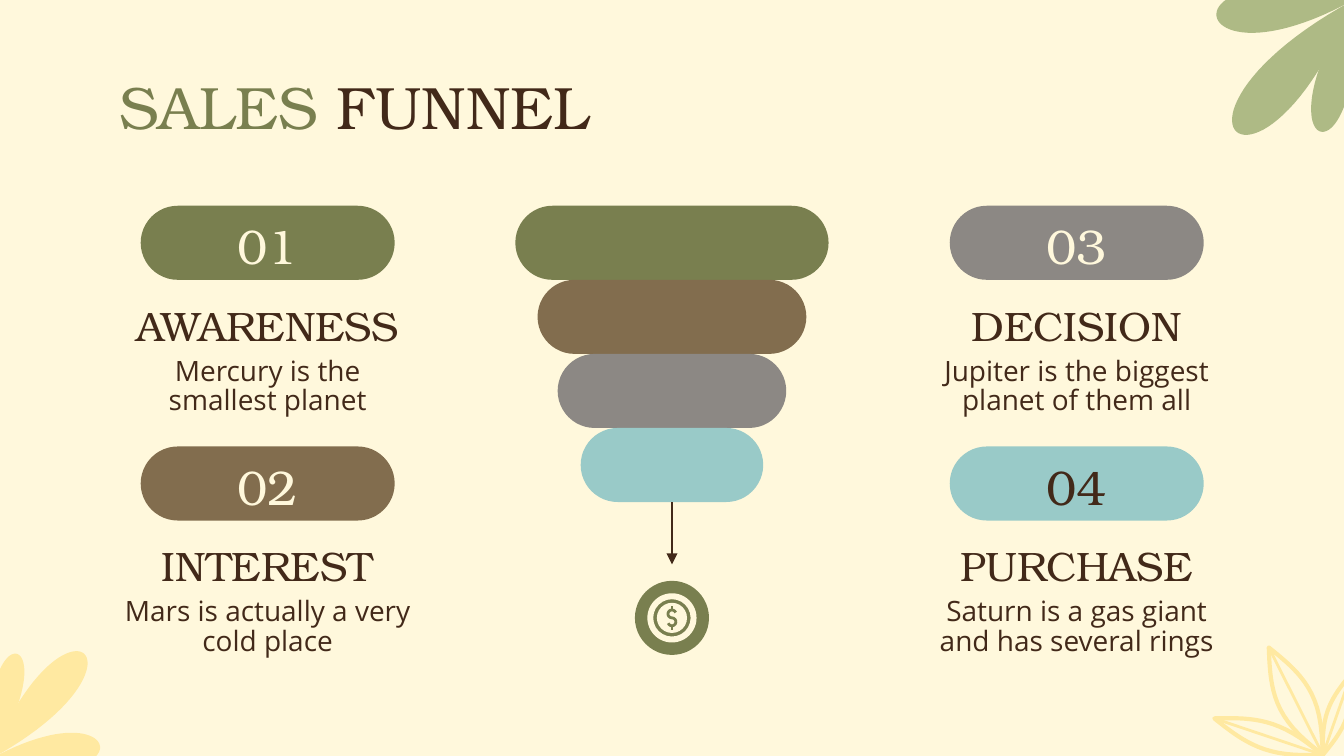
import math

import pptx
import pptx.util
import pptx.dml.color
import pptx.enum.shapes
import pptx.enum.text
import pptx.oxml
import pptx.oxml.ns
from pptx.util import Cm

SERIF, SANS = "TeX Gyre Bonum", "Open Sans"
CREAM, DARK, GREEN, BROWN, GREY, BLUE = "FFF8DC", "422919", "797F4F", "826D4E", "8C8884", "99CAC8"
SAGE, YELLOW = "AEBA85", "FFE9A1"

# Content: stages run down the left column, then down the right one
title = [("SALES", GREEN), (" FUNNEL", DARK)]
stages = [
    ("01", "AWARENESS", "Mercury is the smallest planet", GREEN, CREAM),
    ("02", "INTEREST", "Mars is actually a very cold place", BROWN, CREAM),
    ("03", "DECISION", "Jupiter is the biggest planet of them all", GREY, CREAM),
    ("04", "PURCHASE", "Saturn is a gas giant and has several rings", BLUE, DARK),
]
funnel_widths = [5.92, 5.08, 4.32, 3.45]

# Leaves in cm: tip offset from the hub, then half width
round_leaves = [(-2.59, 0.3, 0.41), (-2.21, 2.49, 0.46), (-0.62, 2.49, 0.33)]
pointed_leaves = [(-2.05, -0.69, 0.25), (-1.02, -2.03, 0.33), (0.54, -1.54, 0.19)]
round_clusters = [((25.58, 0), 1, SAGE), ((-0.18, 14.35), -0.8, YELLOW)]
pointed_hub = (25, 14.27)


def color(value):
    return pptx.dml.color.RGBColor.from_string(value)


def paint(shape, fill=None, line=None, weight=1):
    shape.shadow.inherit = False
    if fill:
        shape.fill.solid()
        shape.fill.fore_color.rgb = color(fill)
    else:
        shape.fill.background()
    if line:
        shape.line.color.rgb = color(line)
        shape.line.width = pptx.util.Pt(weight)
    else:
        shape.line.fill.background()
    return shape


def add_preset(kind, center, top, width, height, fill, adjust=None):
    shape = slide.shapes.add_shape(kind, Cm(center - width / 2), Cm(top), Cm(width), Cm(height))
    if adjust is not None:
        shape.adjustments[0] = adjust
    return paint(shape, fill)


def add_line(start, end, ink, weight):
    ends = [Cm(value) for value in (*start, *end)]
    line = slide.shapes.add_connector(pptx.enum.shapes.MSO_CONNECTOR.STRAIGHT, *ends)
    line.line.color.rgb = color(ink)
    line.line.width = pptx.util.Pt(weight)
    line._element.spPr.append(pptx.oxml.parse_xml(f'<a:effectLst {pptx.oxml.ns.nsdecls("a")}/>'))
    return line


def add_path(points, close, **look):
    first, *rest = [(Cm(x), Cm(y)) for x, y in points]
    builder = slide.shapes.build_freeform(*first)
    builder.add_line_segments(rest, close=close)
    paint(builder.convert_to_shape(), **look)


def add_leaf(hub, dx, dy, half_width, pointed=False, **look):
    """Go along one edge from hub to tip and back along the other."""
    length, points, steps = math.hypot(dx, dy), [], 24
    for step in range(-steps, steps):
        s = step / steps
        t = 1 - s * s
        if pointed:
            side = math.copysign(half_width * math.sin(math.pi * t), s) / length
        else:
            side = 2.6 * half_width * t * s / length
        points.append((hub[0] + t * dx - side * dy, hub[1] + t * dy + side * dx))
    add_path(points, True, **look)


def add_box(left, top, width, height):
    return slide.shapes.add_textbox(Cm(left), Cm(top), Cm(width), Cm(height))


def write(shape, runs, size, font=SERIF, align="CENTER", anchor="MIDDLE", top=0, spacing=None):
    frame = shape.text_frame
    frame.word_wrap = True
    frame.vertical_anchor = pptx.enum.text.MSO_ANCHOR[anchor]
    frame.margin_left = frame.margin_right = Cm(0.25)
    frame.margin_top, frame.margin_bottom = Cm(top), 0
    paragraph = frame.paragraphs[0]
    paragraph.alignment = pptx.enum.text.PP_ALIGN[align]
    if spacing:
        paragraph.line_spacing = spacing
    for text, ink in runs:
        run = paragraph.add_run()
        run.text = text
        run.font.name, run.font.size = font, pptx.util.Pt(size)
        run.font.color.rgb = color(ink)


deck = pptx.Presentation()
deck.slide_width, deck.slide_height = Cm(25.4), Cm(14.29)
slide = deck.slides.add_slide(deck.slide_layouts[6])
slide.background.fill.solid()
slide.background.fill.fore_color.rgb = color(CREAM)
PRESET = pptx.enum.shapes.MSO_SHAPE

# Corner leaves
for dx, dy, half_width in pointed_leaves:
    add_leaf(pointed_hub, dx, dy, half_width, pointed=True, line=YELLOW, weight=2.25)
    add_line(pointed_hub, (pointed_hub[0] + dx, pointed_hub[1] + dy), YELLOW, 1.5)
for hub, scale, fill in round_clusters:
    for dx, dy, half_width in round_leaves:
        add_leaf(hub, dx * scale, dy * scale, half_width * abs(scale), fill=fill)

# Title
write(add_box(2, 1.07, 21.4, 1.65), title, 32, align="LEFT", anchor="TOP", top=0.25)

# Stages: two columns of two
TOP, PILL_HEIGHT, COLUMN_WIDTH = 3.89, 1.4, 6.1
for index, (number, heading, body, fill, ink) in enumerate(stages):
    column, row = divmod(index, 2)
    left, top = 2.01 + column * 15.29, TOP + row * 4.55
    pill = add_preset(PRESET.ROUNDED_RECTANGLE, left + COLUMN_WIDTH / 2, top, 4.8, PILL_HEIGHT, fill, 0.5)
    write(pill, [(number, ink)], 26, top=0.08)
    write(add_box(left, top + 1.73, COLUMN_WIDTH, 1.04), [(heading, DARK)], 22)
    write(add_box(left, top + 2.74, COLUMN_WIDTH, 1.37), [(body, DARK)], 15, font=SANS, spacing=0.88)

# Funnel
CENTER = 12.7
for level, (width, stage) in enumerate(zip(funnel_widths, stages)):
    add_preset(PRESET.ROUNDED_RECTANGLE, CENTER, TOP + level * PILL_HEIGHT, width, PILL_HEIGHT, stage[3], 0.5)

# Arrow to the coin
arrow = add_line((CENTER, 9.49), (CENTER, 10.67), DARK, 1.5)
head = pptx.oxml.parse_xml(f'<a:tailEnd {pptx.oxml.ns.nsdecls("a")} type="triangle"/>')
arrow.line._get_or_add_ln().append(head)

# Coin
COIN_Y = 11.68
for kind, size, fill, adjust in [(PRESET.OVAL, 1.4, GREEN, None), (PRESET.DONUT, 0.93, CREAM, 0.12),
                                 (PRESET.OVAL, 0.57, CREAM, None)]:
    add_preset(kind, CENTER, COIN_Y - size / 2, size, size, fill, adjust)

# Dollar sign: an arc, the same arc turned half round, and two short bars
RADIUS = 0.075
angles = [math.radians(degree) for degree in range(-20, -271, -25)]
upper = [(RADIUS * math.cos(a), RADIUS * (math.sin(a) - 1)) for a in angles]
curve = upper + [(-x, -y) for x, y in reversed(upper)]
add_path([(CENTER + x, COIN_Y + y) for x, y in curve], False, line=GREEN, weight=1.5)
for side in (-1, 1):
    add_line((CENTER, COIN_Y + side * 0.14), (CENTER, COIN_Y + side * 0.22), GREEN, 1.5)

deck.save("out.pptx")
